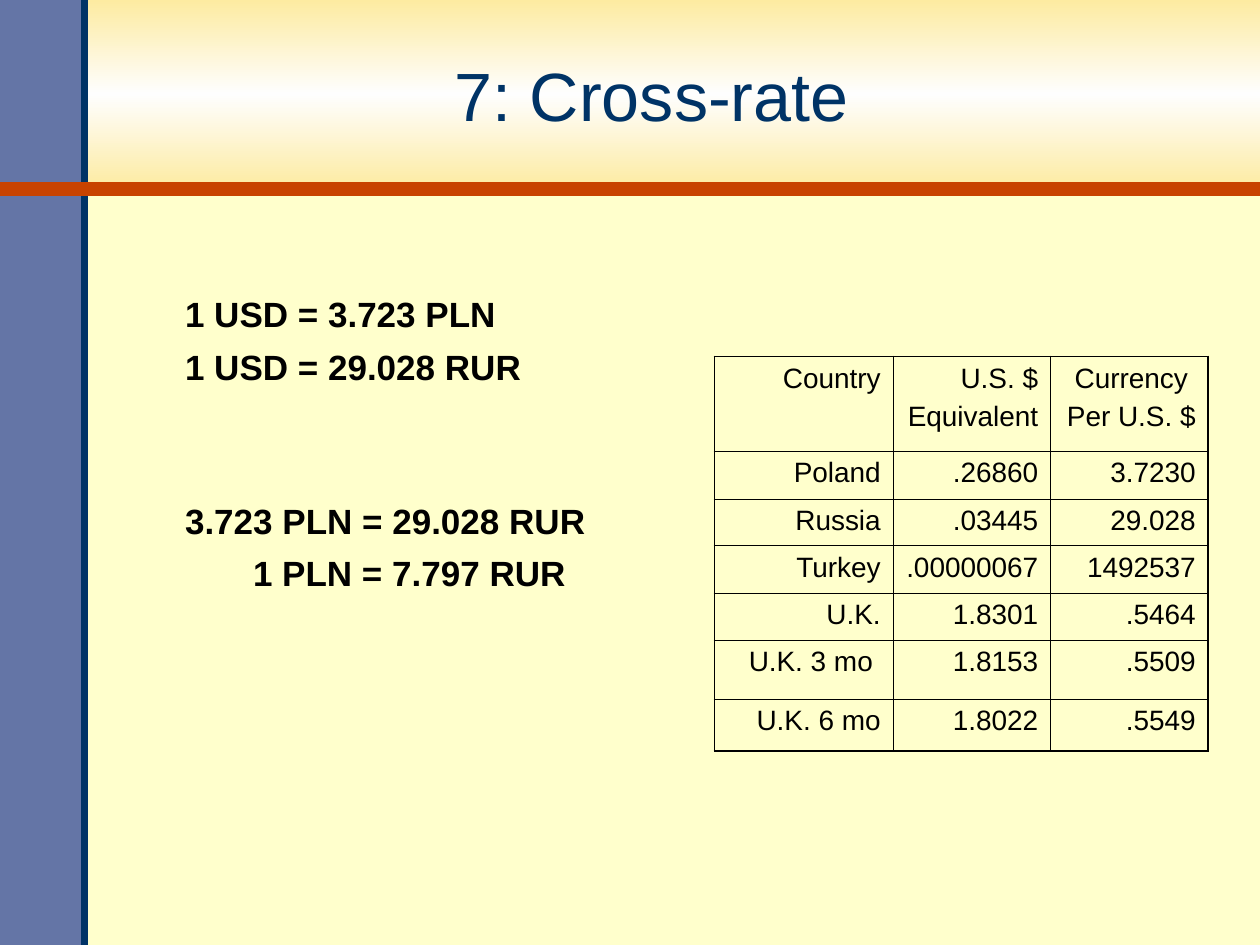
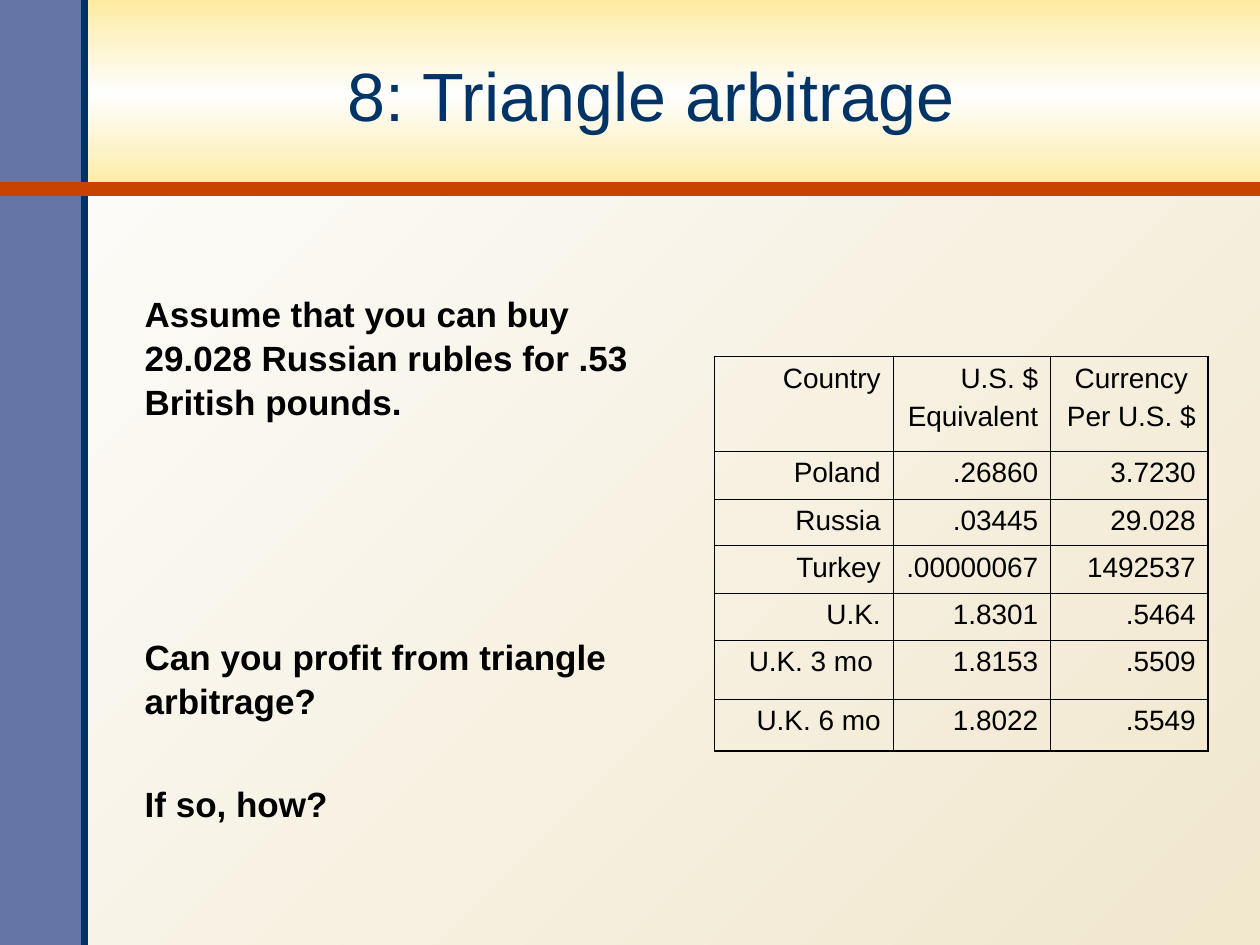
from lxml import etree
from pptx import Presentation
from pptx import util as u
from pptx.dml.color import RGBColor
from pptx.enum import shapes, text
from pptx.oxml.ns import qn

COLORS = {
    "navy": "003366", "slate": "6475A6", "rust": "C84300", "gold": "FDEBA1",
    "white": "FEFEFE", "cream": "FFFFCC", "sand": "F1E7CD", "black": "000000",
}
TITLE_FONT = {"name": "Arial", "size": u.Pt(39), "bold": False}
BODY_FONT = {"name": "Arial", "size": u.Pt(20), "bold": True}
TABLE_FONT = {"name": "Arial", "size": u.Pt(16), "bold": False}

# Each statement: (text, blank lines above, extra indent in inches)
SLIDES = [
    {
        "title": "7: Cross-rate",
        "background": ["cream"],
        "indent": 0.52,
        "statements": [
            ("1 USD = 3.723 PLN", 0, 0),
            ("1 USD = 29.028 RUR", 0, 0),
            ("3.723 PLN = 29.028 RUR", 2, 0),
            ("1 PLN = 7.797 RUR", 0, 0.54),
        ],
    },
    {
        "title": "8: Triangle arbitrage",
        "background": ["sand", "white"],
        "indent": 0.2,
        "statements": [
            ("Assume that you can buy 29.028 Russian rubles for .53 British pounds.", 0, 0),
            ("Can you profit from triangle arbitrage?", 4, 0),
            ("If so, how?", 1, 0),
        ],
    },
]
RATES = [
    ("Country", "U.S. $\nEquivalent", "Currency \nPer U.S. $"),
    ("Poland", ".26860", "3.7230"),
    ("Russia", ".03445", "29.028"),
    ("Turkey", ".00000067", "1492537"),
    ("U.K.", "1.8301", ".5464"),
    ("U.K. 3 mo ", "1.8153", ".5509"),
    ("U.K. 6 mo", "1.8022", ".5549"),
]
COLUMN_WIDTHS = [1.42, 1.25, 1.25]
ROW_HEIGHTS = [0.75, 0.38, 0.37, 0.38, 0.37, 0.47, 0.41]
OUTER, INNER = 1.08, 0.45  # table rules in points
PARAGRAPH_GAP, LINE_PITCH = 5, 29  # points


def rgb(name):
    return RGBColor.from_string(COLORS[name])


def style(font, values, color):
    for key, value in values.items():
        setattr(font, key, value)
    font.color.rgb = rgb(color)


def paint(fill, names, angle=0):
    """Solid fill for one colour, evenly spaced gradient for several."""
    if len(names) == 1:
        fill.solid()
        fill.fore_color.rgb = rgb(names[0])
        return
    fill.gradient()
    fill.gradient_angle = angle
    stops = fill._xPr.find(qn("a:gradFill")).find(qn("a:gsLst"))
    for stop in list(stops):
        stops.remove(stop)
    for index, name in enumerate(names):
        position = 100000 * index // (len(names) - 1)
        stop = etree.SubElement(stops, qn("a:gs"), pos=str(position))
        etree.SubElement(stop, qn("a:srgbClr"), val=COLORS[name])


def add_bar(page, width, height, names, angle=0):
    bar = page.shapes.add_shape(shapes.MSO_SHAPE.RECTANGLE, 0, 0, u.Inches(width), u.Inches(height))
    bar.shadow.inherit = False
    bar.line.fill.background()
    paint(bar.fill, names, angle)


def add_rule(page, start, end, color, points):
    ends = [u.Inches(value) for value in start + end]
    rule = page.shapes.add_connector(shapes.MSO_CONNECTOR.STRAIGHT, *ends)
    rule.line.color.rgb = rgb(color)
    rule.line.width = u.Pt(points)
    etree.SubElement(rule._element.spPr, qn("a:effectLst"))


def set_frame(frame, top_inset, anchor):
    values = {
        "margin_left": u.Inches(0.1), "margin_right": u.Inches(0.1),
        "margin_top": u.Inches(top_inset), "margin_bottom": u.Inches(0.05),
        "word_wrap": True, "auto_size": text.MSO_AUTO_SIZE.NONE, "vertical_anchor": anchor,
    }
    for key, value in values.items():
        setattr(frame, key, value)


def add_frame_and_title(page, title_text):
    add_bar(page, 10, 1.5, ["gold", "white", "gold"], 270)
    add_bar(page, 0.67, 7.5, ["slate"])
    add_rule(page, (0.67, 7.5), (0.67, 0), "navy", 4)
    add_rule(page, (0, 1.5), (10, 1.5), "rust", 8)

    # The title goes in front of the bands
    title = page.shapes.title
    page.shapes._spTree.append(title._element)
    title.left, title.top, title.width, title.height = map(u.Inches, (0.65, 0.15, 9.04, 1.2))
    title.text = title_text
    set_frame(title.text_frame, 0.05, text.MSO_ANCHOR.MIDDLE)
    para = title.text_frame.paragraphs[0]
    para.alignment = text.PP_ALIGN.CENTER
    style(para.font, TITLE_FONT, "navy")


def add_statements(page, statements, indent):
    box = page.shapes.add_textbox(*map(u.Inches, (0.85, 1.81, 4.45, 5.19)))
    frame = box.text_frame
    set_frame(frame, 0.5, text.MSO_ANCHOR.TOP)
    for index, (words, blanks, extra) in enumerate(statements):
        para = frame.add_paragraph() if index else frame.paragraphs[0]
        para.text = words
        para.line_spacing = 1.04
        para.space_before = u.Pt(PARAGRAPH_GAP + blanks * LINE_PITCH if index else 0)
        para._p.get_or_add_pPr().set("marL", str(u.Inches(indent + extra)))
        style(para.font, BODY_FONT, "black")


def set_borders(cell, widths):
    properties = cell._tc.get_or_add_tcPr()
    for side, points in widths.items():
        line = etree.SubElement(properties, qn("a:ln" + side), w=str(u.Pt(points)))
        fill = etree.SubElement(line, qn("a:solidFill"))
        etree.SubElement(fill, qn("a:srgbClr"), val=COLORS["black"])


def add_rate_table(page):
    rows, columns = len(RATES), len(COLUMN_WIDTHS)
    size = (sum(COLUMN_WIDTHS), sum(ROW_HEIGHTS))
    table = page.shapes.add_table(rows, columns, *map(u.Inches, (5.67, 2.83) + size)).table
    table.first_row = table.horz_banding = False
    for column, width in zip(table.columns, COLUMN_WIDTHS):
        column.width = u.Inches(width)
    for row, height in zip(table.rows, ROW_HEIGHTS):
        row.height = u.Inches(height)

    for r, values in enumerate(RATES):
        for c, value in enumerate(values):
            cell = table.cell(r, c)
            cell.text = value
            at_edge = {"L": c == 0, "R": c == columns - 1, "T": r == 0, "B": r == rows - 1}
            set_borders(cell, {side: OUTER if edge else INNER for side, edge in at_edge.items()})
            cell.fill.background()
            for index, para in enumerate(cell.text_frame.paragraphs):
                para.alignment = text.PP_ALIGN.RIGHT
                para.space_before = u.Pt(4 if index else 0)
                style(para.font, TABLE_FONT, "black")


def main():
    deck = Presentation()
    deck.slide_width, deck.slide_height = u.Inches(10), u.Inches(7.5)
    for content in SLIDES:
        page = deck.slides.add_slide(deck.slide_layouts[5])
        paint(page.background.fill, content["background"], 135)
        add_frame_and_title(page, content["title"])
        add_statements(page, content["statements"], content["indent"])
        add_rate_table(page)
    deck.save("out.pptx")


if __name__ == "__main__":
    main()
